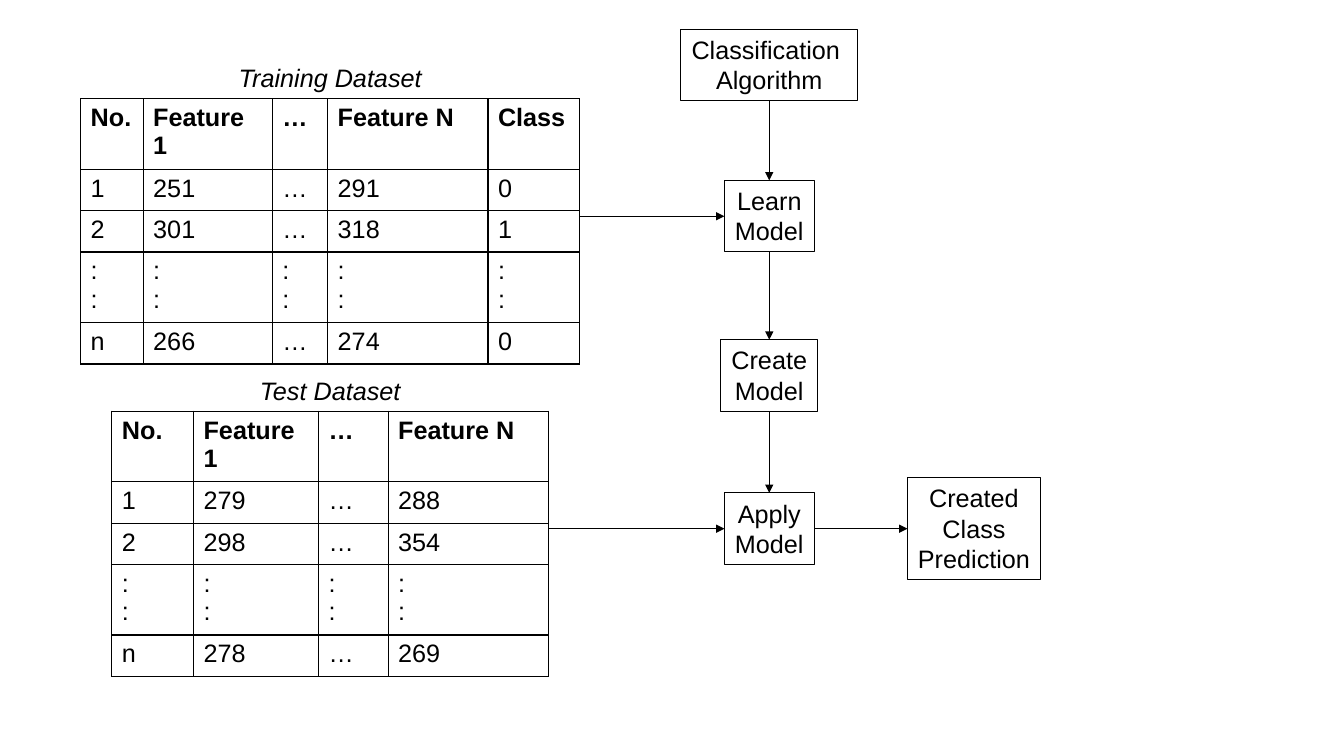
from dataclasses import dataclass

from pptx import Presentation
from pptx.dml.color import RGBColor
from pptx.enum.shapes import MSO_CONNECTOR as Connector, MSO_SHAPE as Shape
from pptx.enum.text import MSO_ANCHOR as Anchor, MSO_AUTO_SIZE as AutoSize, PP_ALIGN as Align
from pptx.oxml import parse_xml
from pptx.oxml.ns import nsdecls
from pptx.util import Inches, Pt


@dataclass(frozen=True)
class Theme:
    ink: RGBColor = RGBColor(0, 0, 0)
    font: str = "Arial"
    text_size: float = 18
    grid_line: float = 1
    box_line: float = 0.75
    arrow_line: float = 0.5


THEME = Theme()
TOP, LEFT, BOTTOM, RIGHT = range(4)
ROW_HEIGHT = 0.41
FLOW_CENTER = 7.63
DOTS = ":\n:"

TRAINING = [
    ["No.", "Feature 1", "…", "Feature N", "Class"],
    ["1", "251", "…", "291", "0"],
    ["2", "301", "…", "318", "1"],
    [DOTS] * 5,
    ["n", "266", "…", "274", "0"],
]
TEST = [
    ["No.", "Feature 1", "…", "Feature N"],
    ["1", "279", "…", "288"],
    ["2", "298", "…", "354"],
    [DOTS] * 4,
    ["n", "278", "…", "269"],
]


def write(frame, text, align=None, bold=False, italic=False):
    frame.text = text
    for para in frame.paragraphs:
        para.alignment = align
        for span in para.runs:
            font = span.font
            font.name, font.size = THEME.font, Pt(THEME.text_size)
            font.bold, font.italic = bold, italic
            font.color.rgb = THEME.ink


def add_borders(cell):
    properties = cell._tc.get_or_add_tcPr()
    for index, side in enumerate(("lnL", "lnR", "lnT", "lnB")):
        properties.insert(index, parse_xml(
            f'<a:{side} {nsdecls("a")} w="{Pt(THEME.grid_line)}"><a:solidFill>'
            f'<a:srgbClr val="{THEME.ink}"/></a:solidFill></a:{side}>'))


def add_dataset(page, title, left, top, widths, rows):
    """Draw a bordered table with its centred title above."""
    width = sum(widths)
    # Title
    title_width = 2.51
    caption = page.shapes.add_textbox(
        Inches(left + (width - title_width) / 2), Inches(top - 0.41),
        Inches(title_width), Inches(0.4))
    caption.text_frame.word_wrap = True
    caption.text_frame.auto_size = AutoSize.SHAPE_TO_FIT_TEXT
    write(caption.text_frame, title, Align.CENTER, italic=True)

    # Table
    table = page.shapes.add_table(
        len(rows), len(widths), Inches(left), Inches(top),
        Inches(width), Inches(ROW_HEIGHT * len(rows))).table
    table.horz_banding = False
    for column, column_width in zip(table.columns, widths):
        column.width = Inches(column_width)
    for row_index, row in enumerate(rows):
        for column_index, text in enumerate(row):
            cell = table.cell(row_index, column_index)
            cell.fill.background()
            write(cell.text_frame, text, bold=row_index == 0)
            add_borders(cell)


def add_step(page, text, center, top, width, height=0.71):
    box = page.shapes.add_shape(
        Shape.RECTANGLE, Inches(center - width / 2), Inches(top),
        Inches(width), Inches(height))
    box.shadow.inherit = False
    box.fill.background()
    box.line.color.rgb = THEME.ink
    box.line.width = Pt(THEME.box_line)
    frame = box.text_frame
    frame.word_wrap = False
    frame.auto_size = AutoSize.SHAPE_TO_FIT_TEXT
    frame.vertical_anchor = Anchor.TOP
    write(frame, text, Align.CENTER)
    return box


def add_arrow(page, target, target_side, source=None, source_side=None, start=(0, 0)):
    """Join two boxes, or lead from a free start point to a box."""
    x, y = (Inches(value) for value in start)
    arrow = page.shapes.add_connector(Connector.STRAIGHT, x, y, x, y)
    if source is not None:
        arrow.begin_connect(source, source_side)
    arrow.end_connect(target, target_side)
    arrow.line.color.rgb = THEME.ink
    arrow.line.width = Pt(THEME.arrow_line)
    arrow.line._get_or_add_ln().append(
        parse_xml(f'<a:tailEnd {nsdecls("a")} type="triangle"/>'))
    arrow._element.spPr.append(parse_xml(f'<a:effectLst {nsdecls("a")}/>'))


def add_flow(page, center, training_right, test_right):
    # Steps from top to bottom, then the result
    algorithm = add_step(page, "Classification \nAlgorithm", center, 0.29, 1.76)
    learn = add_step(page, "Learn\nModel", center, 1.79, 0.89)
    create = add_step(page, "Create\nModel", center, 3.37, 0.96)
    apply_model = add_step(page, "Apply\nModel", center, 4.89, 0.89)
    result = add_step(page, "Created\nClass\nPrediction", center + 2.03, 4.74, 1.32, 1.01)

    # Arrows down the column
    steps = [algorithm, learn, create, apply_model]
    for source, target in zip(steps, steps[1:]):
        add_arrow(page, target, TOP, source, BOTTOM)

    # Arrows across
    add_arrow(page, result, LEFT, apply_model, RIGHT)
    for target, right in ((learn, training_right), (apply_model, test_right)):
        middle = (target.top + target.height / 2) / Inches(1)
        add_arrow(page, target, LEFT, start=(right, middle))


def main():
    deck = Presentation()
    deck.slide_width, deck.slide_height = Inches(13.33), Inches(7.5)
    page = deck.slides.add_slide(deck.slide_layouts[6])
    add_dataset(page, "Training Dataset", 0.8, 0.98, [0.62, 1.28, 0.55, 1.59, 0.91], TRAINING)
    add_dataset(page, "Test Dataset", 1.11, 4.08, [0.81, 1.24, 0.69, 1.59], TEST)
    add_flow(page, FLOW_CENTER, training_right=5.75, test_right=5.44)
    deck.save("out.pptx")


if __name__ == "__main__":
    main()
